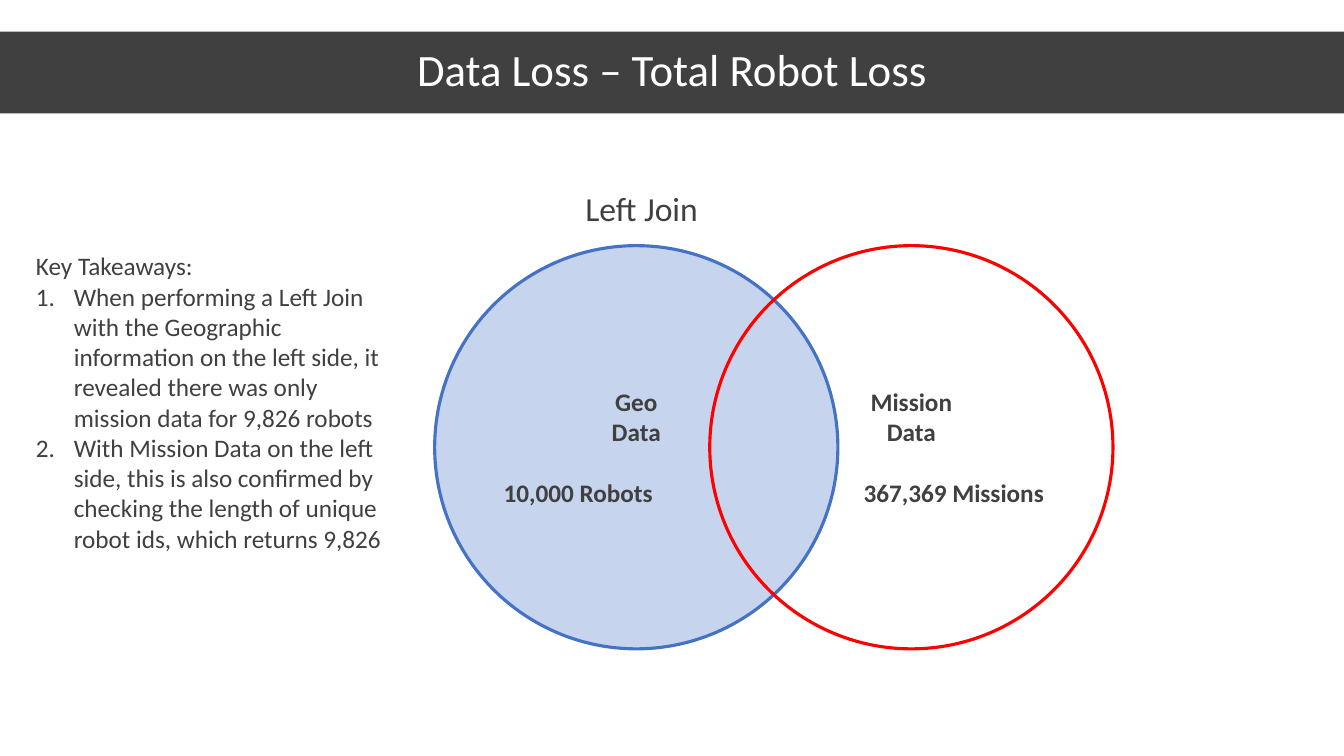
from dataclasses import dataclass

from lxml import etree
from pptx import Presentation
from pptx import util as u
from pptx.dml.color import RGBColor
from pptx.enum import shapes, text
from pptx.oxml import ns


@dataclass(frozen=True)
class Theme:
    font: str = "Calibri"
    dark: str = "3F403F"
    white: str = "FFFFFF"
    blue: str = "4472C4"
    red: str = "FF0000"
    head: float = 32
    label: float = 24
    body: float = 18


@dataclass(frozen=True)
class Ring:
    left: float
    edge: str
    words: tuple[str, str]
    stat: str
    side: text.PP_ALIGN
    alpha: int = 0


LOOK = Theme()
ALIGN = text.PP_ALIGN
TOP = 175.5
SIDE = 288
GAP = 22
INDENT = 27

RINGS = (
    Ring(310.5, LOOK.blue, ("Geo", "Data"), "10,000 Robots", ALIGN.LEFT, 30),
    Ring(507, LOOK.red, ("Mission", "Data"), "367,369 Missions", ALIGN.RIGHT),
)
POINTS = (
    "When performing a Left Join with the Geographic information on the left side, "
    "it revealed there was only mission data for 9,826 robots",
    "With Mission Data on the left side, this is also confirmed by checking the "
    "length of unique robot ids, which returns 9,826",
)


def write(frame, words: str, *, size: float = LOOK.body, color: str = LOOK.dark,
          bold: bool = False, align: text.PP_ALIGN = ALIGN.LEFT,
          before: float = 0, line: float = 1):
    para = frame.paragraphs[-1]
    if para.runs:
        para = frame.add_paragraph()
    para.alignment = align
    para.space_before = u.Pt(before)
    para.line_spacing = line
    run = para.add_run()
    run.text = words
    font = run.font
    font.name, font.size, font.bold = LOOK.font, u.Pt(size), bold
    font.color.rgb = RGBColor.from_string(color)
    return para


def place(shape, left: float, top: float, width: float, height: float) -> None:
    shape.left, shape.top = u.Pt(left), u.Pt(top)
    shape.width, shape.height = u.Pt(width), u.Pt(height)


def setup(frame, anchor: text.MSO_ANCHOR) -> None:
    frame.word_wrap = True
    frame.auto_size = text.MSO_AUTO_SIZE.NONE
    frame.vertical_anchor = anchor


def mark(para, number: bool) -> None:
    props = para._p.get_or_add_pPr()
    indent = u.Pt(INDENT) if number else 0
    props.set("marL", str(indent))
    props.set("indent", str(-indent))
    if number:
        etree.SubElement(props, ns.qn("a:buFont"), typeface="+mj-lt")
        etree.SubElement(props, ns.qn("a:buAutoNum"), type="arabicPeriod")
    else:
        etree.SubElement(props, ns.qn("a:buNone"))


def draw(slide, ring: Ring) -> None:
    shape = slide.shapes.add_shape(
        shapes.MSO_SHAPE.OVAL, u.Pt(ring.left), u.Pt(TOP), u.Pt(SIDE), u.Pt(SIDE))
    shape.shadow.inherit = False
    edge = RGBColor.from_string(ring.edge)
    if ring.alpha:
        shape.fill.solid()
        shape.fill.fore_color.rgb = edge
        tint = next(shape.element.spPr.iter(ns.qn("a:srgbClr")))
        etree.SubElement(tint, ns.qn("a:alpha"), val=str(ring.alpha * 1000))
    else:
        shape.fill.background()
    shape.line.color.rgb = edge
    shape.line.width = u.Pt(2.25)
    frame = shape.text_frame
    setup(frame, text.MSO_ANCHOR.MIDDLE)
    for word in ring.words:
        write(frame, word, bold=True, align=ALIGN.CENTER)
    write(frame, ring.stat, bold=True, align=ring.side, before=GAP)


def main() -> None:
    deck = Presentation()
    deck.slide_width, deck.slide_height = u.Pt(960), u.Pt(540)
    slide = deck.slides.add_slide(deck.slide_layouts[1])

    title = slide.shapes.title
    place(title, 0, 22.5, 960, 58.5)
    title.fill.solid()
    title.fill.fore_color.rgb = RGBColor.from_string(LOOK.dark)
    setup(title.text_frame, text.MSO_ANCHOR.MIDDLE)
    write(title.text_frame, "Data Loss – Total Robot Loss", size=LOOK.head,
          color=LOOK.white, align=ALIGN.CENTER, line=0.9)

    for ring in RINGS:
        draw(slide, ring)

    body = slide.placeholders[1]
    place(body, 18.5, TOP, 271.5, 247)
    setup(body.text_frame, text.MSO_ANCHOR.TOP)
    mark(write(body.text_frame, "Key Takeaways:"), False)
    for point in POINTS:
        mark(write(body.text_frame, point), True)

    label = slide.shapes.add_textbox(u.Pt(411), u.Pt(130.5), u.Pt(271.5), u.Pt(65.5))
    setup(label.text_frame, text.MSO_ANCHOR.TOP)
    write(label.text_frame, "Left Join", size=LOOK.label)

    deck.save("out.pptx")


if __name__ == "__main__":
    main()
